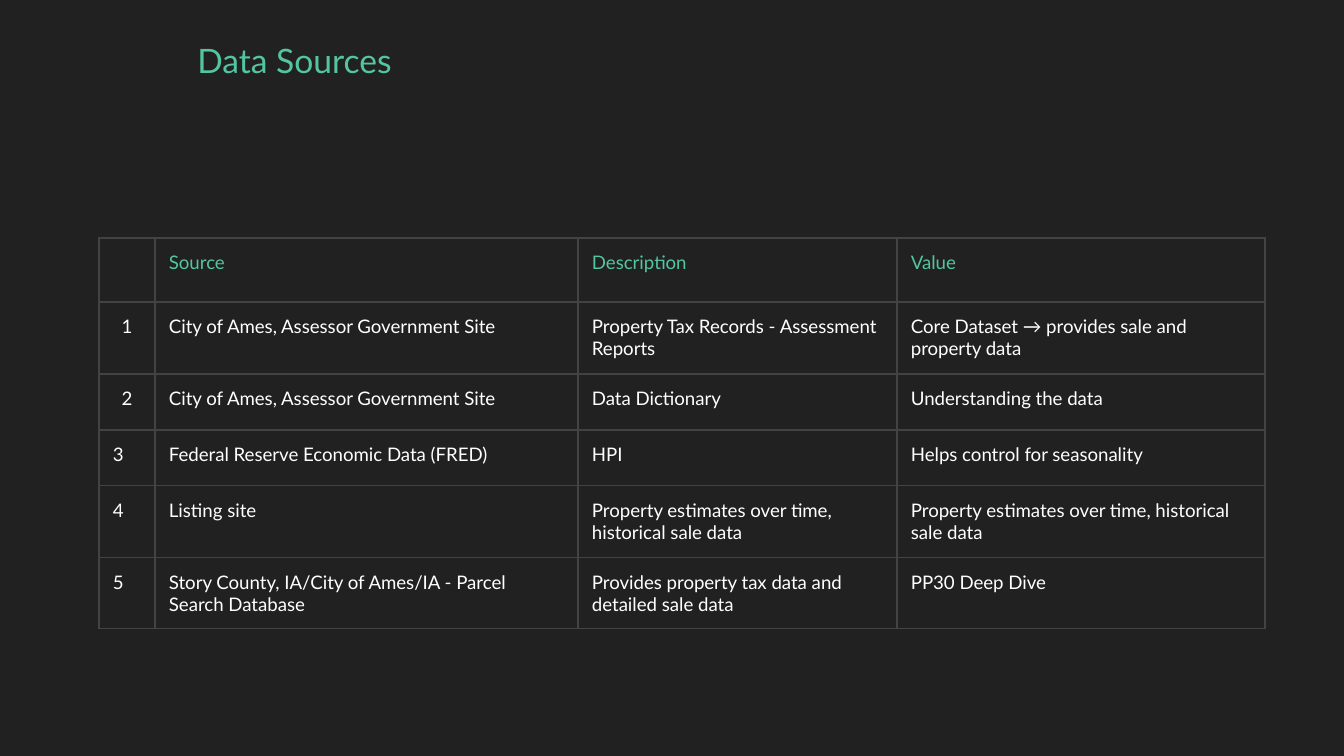
from lxml import etree
from pptx import Presentation
from pptx.dml.color import RGBColor
from pptx.enum import text
from pptx.oxml import ns
from pptx.util import Pt

PX = 914400 / 134.4
COLORS = {"bg": "212121", "accent": "53C6A1", "body": "FFFFFF", "border": "434343"}
MARGINS = {"margin_left": 14, "margin_top": 13, "margin_right": 14, "margin_bottom": 13}

COLUMNS = [56, 423, 319, 368]
ROW_HEIGHTS = [64, 72, 56, 56, 72, 71]
CENTERED = {"1", "2"}
ROWS = [
    ["", "Source", "Description", "Value"],
    ["1", "City of Ames, Assessor Government Site",
     "Property Tax Records - Assessment Reports",
     "Core Dataset → provides sale and property data"],
    ["2", "City of Ames, Assessor Government Site", "Data Dictionary",
     "Understanding the data"],
    ["3", "Federal Reserve Economic Data (FRED)", "HPI",
     "Helps control for seasonality"],
    ["4", "Listing site", "Property estimates over time, historical sale data",
     "Property estimates over time, historical sale data"],
    ["5", "Story County, IA/City of Ames/IA - Parcel Search Database",
     "Provides property tax data and detailed sale data", "PP30 Deep Dive"],
]


def px(n):
    return round(n * PX)


def set_attrs(obj, values):
    for name, value in values.items():
        setattr(obj, name, value)


def set_lengths(obj, lengths):
    set_attrs(obj, {name: px(n) for name, n in lengths.items()})


def write(p, words, size, color, align):
    p.alignment = align
    r = p.add_run()
    r.text = words
    set_attrs(r.font, {"name": "Lato", "size": Pt(size), "bold": False})
    r.font.color.rgb = RGBColor.from_string(COLORS[color])


def add_borders(cell):
    pr = cell._tc.get_or_add_tcPr()
    for i, side in enumerate(("lnL", "lnR", "lnT", "lnB")):
        ln = etree.Element(ns.qn(f"a:{side}"), w=str(Pt(0.75)))
        fill = etree.SubElement(ln, ns.qn("a:solidFill"))
        etree.SubElement(fill, ns.qn("a:srgbClr"), val=COLORS["border"])
        pr.insert(i, ln)


def add_title(s, x, y, w, h):
    sp = s.shapes.title
    set_lengths(sp, {"left": x, "top": y, "width": w, "height": h})
    tf = sp.text_frame
    set_lengths(tf, MARGINS)
    set_attrs(tf, {"word_wrap": True, "auto_size": text.MSO_AUTO_SIZE.NONE,
                   "vertical_anchor": text.MSO_ANCHOR.TOP})
    write(tf.paragraphs[0], "Data Sources", 18, "accent", text.PP_ALIGN.CENTER)


def add_sources_table(s, x, y):
    table = s.shapes.add_table(len(ROWS), len(COLUMNS), px(x), px(y),
                               px(sum(COLUMNS)), px(sum(ROW_HEIGHTS))).table
    set_attrs(table, {"first_row": False, "horz_banding": False})
    for column, width in zip(table.columns, COLUMNS):
        column.width = px(width)
    for i, (row, height) in enumerate(zip(table.rows, ROW_HEIGHTS)):
        row.height = px(height)
        for cell, words in zip(row.cells, ROWS[i]):
            set_lengths(cell, MARGINS)
            cell.vertical_anchor = text.MSO_ANCHOR.TOP
            cell.fill.background()
            add_borders(cell)
            p = cell.text_frame.paragraphs[0]
            if words:
                align = text.PP_ALIGN.CENTER if words in CENTERED else text.PP_ALIGN.LEFT
                write(p, words, 10, "body" if i else "accent", align)
            else:
                # Keep the empty corner cell from stretching its row
                etree.SubElement(p._p, ns.qn("a:endParaRPr"), sz="1000")


def main():
    prs = Presentation()
    set_attrs(prs, {"slide_width": px(1344), "slide_height": px(756)})
    s = prs.slides.add_slide(prs.slide_layouts[5])

    # Background
    s.background.fill.solid()
    s.background.fill.fore_color.rgb = RGBColor.from_string(COLORS["bg"])

    # Title and table
    add_title(s, 54, 27, 481, 85)
    add_sources_table(s, 99, 238)
    prs.save("out.pptx")


if __name__ == "__main__":
    main()
